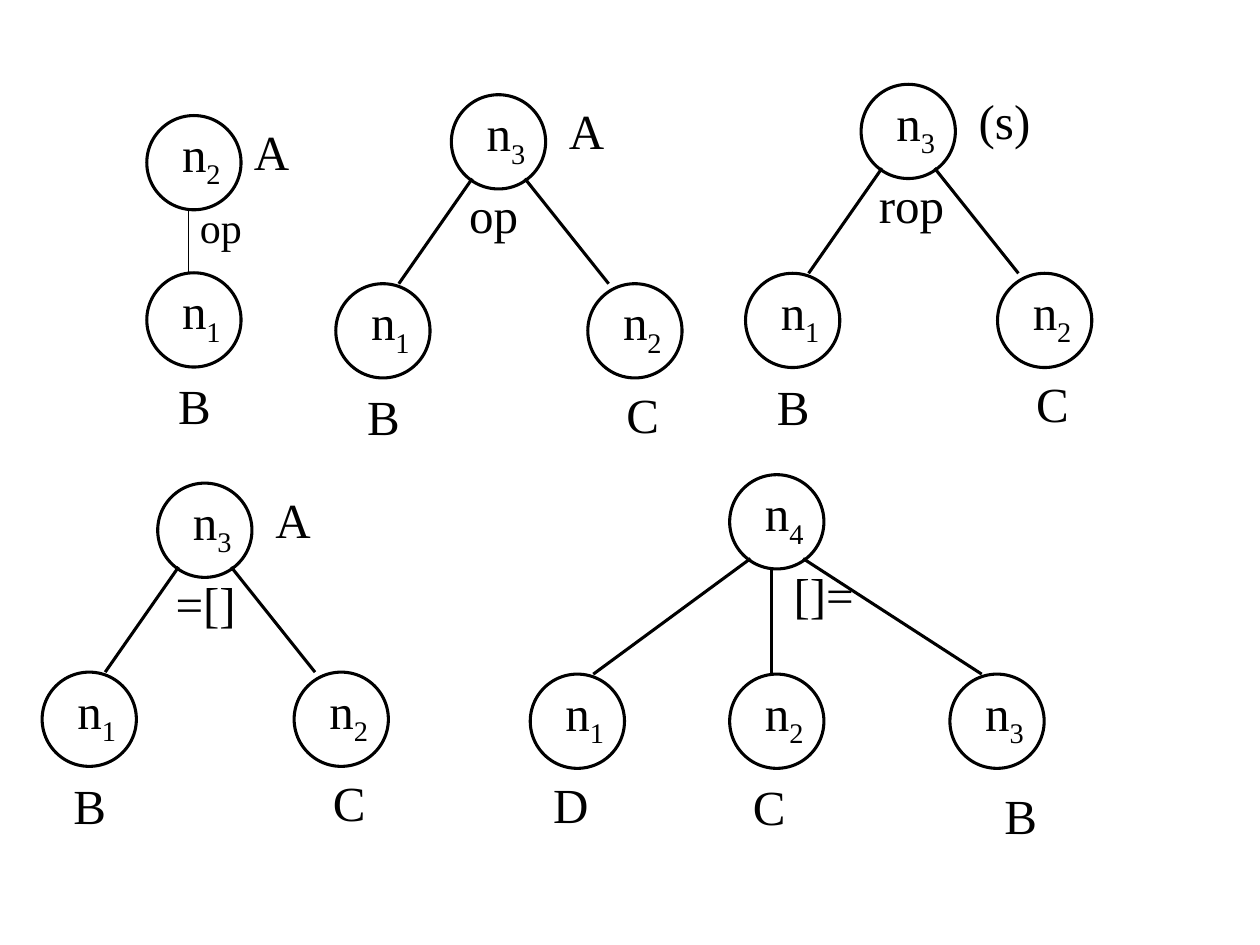
from lxml.etree import SubElement
from pptx import Presentation
from pptx.dml.color import RGBColor
from pptx.enum.shapes import MSO_CONNECTOR as Link, MSO_SHAPE as Shape
from pptx.enum.text import MSO_AUTO_SIZE as Fit
from pptx.oxml.ns import qn
from pptx.util import Cm, Pt

BLACK = RGBColor(0, 0, 0)
WHITE = RGBColor(255, 255, 255)
FONT = "Times New Roman"
DIAM = 1.9            # node diameter, cm
LOW = 1.69            # height on a root where slanted edges leave
LEFT, MID, RIGHT = 0.42, 0.84, 1.48   # where edges leave a root


def text(group, x, y, words, width=1.17, height=1.45, size=28, sub=""):
    box = group.shapes.add_textbox(Cm(x), Cm(y), Cm(width), Cm(height))
    frame = box.text_frame
    frame.word_wrap = False
    frame.auto_size = Fit.SHAPE_TO_FIT_TEXT
    for part in filter(None, (words, sub)):
        run = frame.paragraphs[0].add_run()
        run.text = part
        run.font.name = FONT
        run.font.size = Pt(size)
        run.font.color.rgb = BLACK
    if sub:
        run.font._element.set("baseline", "-25000")


def node(group, x, y, num):
    disc = group.shapes.add_shape(Shape.OVAL, Cm(x), Cm(y), Cm(DIAM), Cm(DIAM))
    disc.shadow.inherit = False
    disc.fill.solid()
    disc.fill.fore_color.rgb = WHITE
    disc.line.color.rgb = BLACK
    disc.line.width = Pt(1.75)
    text(group, x + 0.46, y + 0.04, "n", width=1.4, height=1.6, sub=str(num))


def edge(group, x1, y1, x2, y2, weight=1.75):
    line = group.shapes.add_connector(
        Link.STRAIGHT, Cm(x1), Cm(y1), Cm(x2), Cm(y2))
    line.line.color.rgb = BLACK
    line.line.width = Pt(weight)
    SubElement(line._element.spPr, qn("a:effectLst"))


def unary(slide, x, y):
    group = slide.shapes.add_group_shape()
    base = y + 3.17
    node(group, x, base, 1)
    node(group, x, y, 2)
    edge(group, x + MID, y + DIAM, x + MID, base, weight=0.75)
    text(group, x + 0.38, base + 1.94, "B")
    text(group, x + 1.91, y, "A", width=1.22)
    text(group, x + 0.82, y + 1.6, "op", width=1.35, height=1.27, size=24)


def binary(slide, x, y, op, wide, mark, span):
    """Tree with two leaves; wide and span are the widths of op and mark."""
    group = slide.shapes.add_group_shape()
    top, far, base = x + 2.33, x + 5.08, y + 3.81
    node(group, x, base, 1)
    node(group, far, base, 2)
    node(group, top, y, 3)
    edge(group, top + LEFT, y + LOW, x + 1.27, base)
    edge(group, top + RIGHT, y + LOW, far + 0.42, base)
    text(group, x + 0.38, base + 1.95, "B")
    text(group, far + 0.53, base + 1.9, "C")
    text(group, top + 2.12, y, mark, width=span)
    text(group, top + 0.11, y + LOW, op, width=wide)


def ternary(slide, x, y):
    group = slide.shapes.add_group_shape()
    top, far, base = x + 4.02, x + 8.46, y + 4.02
    for num, left in enumerate((x, top, far), 1):
        node(group, left, base, num)
    node(group, top, y, 4)
    edge(group, top + LEFT, y + LOW, x + 1.27, base)
    edge(group, top + MID, y + DIAM, top + MID, base)
    edge(group, top + RIGHT, y + LOW, far + 0.64, base)
    text(group, x + 0.21, base + 1.9, "D", width=1.22)
    text(group, top + 0.22, base + 1.94, "C")
    text(group, far + 0.85, base + 2.12, "B")
    text(group, top + 1.04, y + LOW, "[]=", width=1.73)


def main():
    deck = Presentation()
    deck.slide_width, deck.slide_height = Cm(25.4), Cm(19.05)
    slide = deck.slides.add_slide(deck.slide_layouts[6])
    unary(slide, 2.96, 2.33)
    binary(slide, 6.77, 1.91, "op", 1.5, "A", 1.22)
    binary(slide, 0.85, 9.74, "=[]", 1.73, "A", 1.22)
    binary(slide, 15.03, 1.7, "rop", 1.83, "(s)", 1.55)
    ternary(slide, 10.69, 9.57)
    deck.save("out.pptx")


if __name__ == "__main__":
    main()
